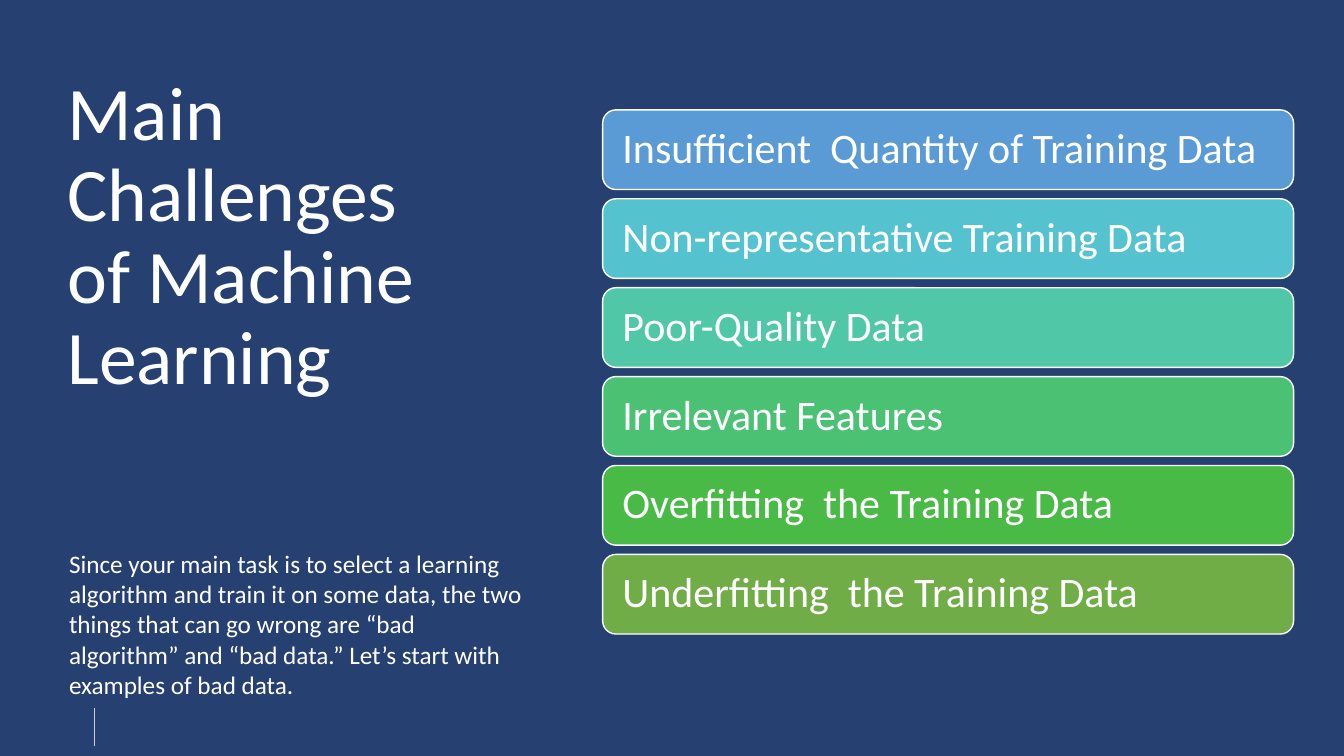
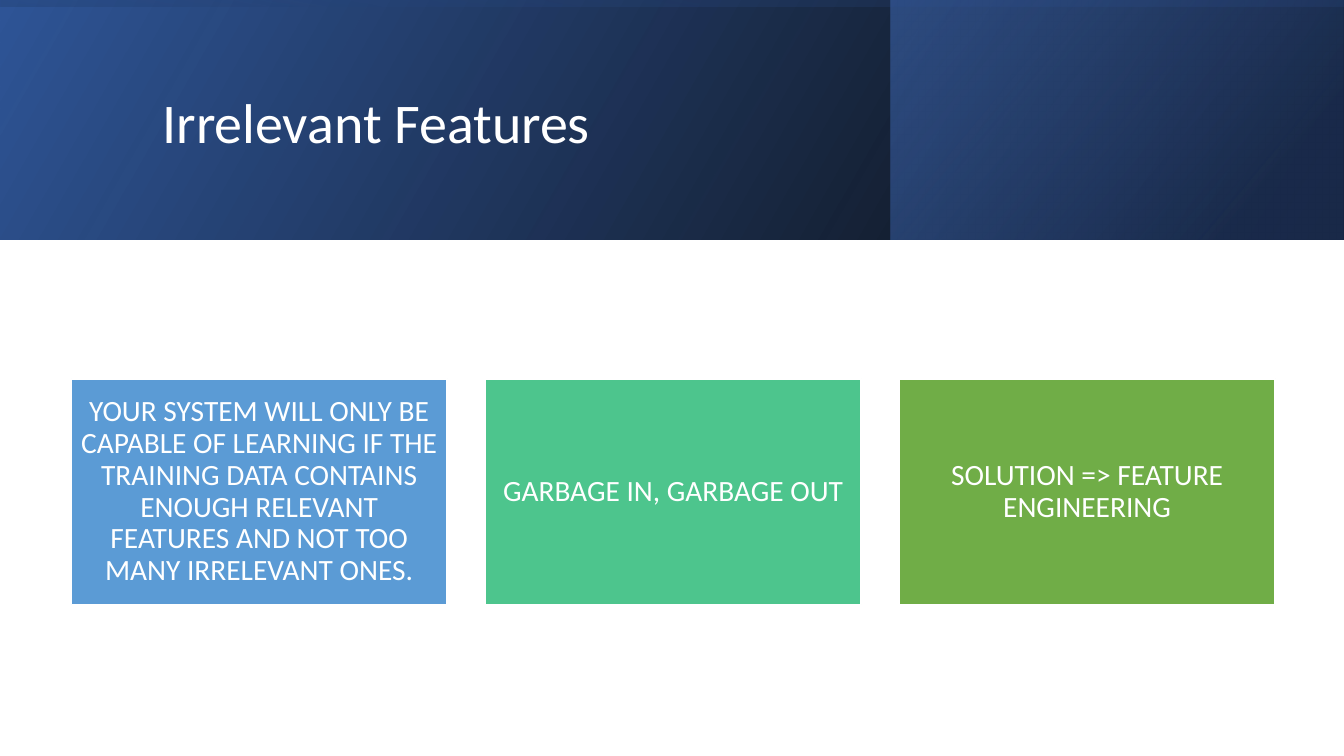
"""Build two slides on the challenges of machine learning."""
from dataclasses import dataclass

from lxml import etree
from pptx import Presentation
from pptx.dml.color import RGBColor
from pptx.enum.shapes import MSO_CONNECTOR, MSO_SHAPE
from pptx.enum.text import MSO_ANCHOR, PP_ALIGN
from pptx.oxml.ns import qn
from pptx.slide import Slide
from pptx.text.text import TextFrame
from pptx.util import Pt

RECT, ROUNDED = MSO_SHAPE.RECTANGLE, MSO_SHAPE.ROUNDED_RECTANGLE
STRAIGHT = MSO_CONNECTOR.STRAIGHT
TOP, MIDDLE = MSO_ANCHOR.TOP, MSO_ANCHOR.MIDDLE
LEFT, CENTER = PP_ALIGN.LEFT, PP_ALIGN.CENTER

FONT = "Calibri"
COLORS = {
    "white": "FFFFFF", "black": "000000", "navy": "254071", "rule": "D0CECE",
    "royal": "2F5597", "deep": "203864", "bright": "4472C4",
    "blue": "5B9BD5", "cyan": "55C3CF", "teal": "50C8A7", "mint": "4DC58D",
    "emerald": "4BC174", "green": "4ABA46", "olive": "70AD47",
}


@dataclass(frozen=True)
class Box:
    """Place and size in points."""
    x: float
    y: float
    w: float
    h: float


@dataclass(frozen=True)
class Tile:
    """Text and colour name of one filled tile."""
    text: str
    color: str


@dataclass(frozen=True)
class TileStyle:
    """Look shared by a set of tiles."""
    shape: MSO_SHAPE
    size: float
    align: PP_ALIGN
    inset: float


@dataclass(frozen=True)
class Stop:
    """Gradient stop: position and opacity in percent."""
    position: float
    color: str
    opacity: int = 100


@dataclass(frozen=True)
class Band:
    """Mirrored gradient rectangle."""
    box: Box
    stops: tuple[Stop, Stop]
    angle: float
    rotation: float = 0


CHALLENGE_STYLE = TileStyle(ROUNDED, 30, LEFT, 11.4)
CHALLENGES = [
    Tile("Insufficient  Quantity of Training Data", "blue"),
    Tile("Non-representative Training Data", "cyan"),
    Tile("Poor-Quality Data", "teal"),
    Tile("Irrelevant Features", "emerald"),
    Tile("Overfitting  the Training Data", "green"),
    Tile("Underfitting  the Training Data", "olive"),
]
FEATURE_STYLE = TileStyle(RECT, 21, CENTER, 6.6)
FEATURES = [
    Tile("YOUR SYSTEM WILL ONLY BE CAPABLE OF LEARNING IF THE TRAINING DATA "
         "CONTAINS ENOUGH RELEVANT FEATURES AND NOT TOO MANY IRRELEVANT ONES.", "blue"),
    Tile("GARBAGE IN, GARBAGE OUT", "mint"),
    Tile("SOLUTION => FEATURE ENGINEERING", "olive"),
]
BANDS = [
    Band(Box(0, 0, 960, 171), (Stop(0, "black", 96), Stop(100, "royal")), 30),
    Band(Box(636.5, 0, 323, 171), (Stop(19, "deep", 68), Stop(100, "bright", 48)), 40),
    Band(Box(394.5, -394.5, 171, 960), (Stop(23, "royal", 16), Stop(99, "black", 45)), 10, 270),
]
INTRO = ("Since your main task is to select a learning algorithm and train it on some data, "
         "the two things that can go wrong are “bad algorithm” and “bad data.” "
         "Let’s start with examples of bad data.")


def rgb(name: str) -> RGBColor:
    """Look up a named colour."""
    return RGBColor.from_string(COLORS[name])


def points(box: Box) -> tuple[Pt, Pt, Pt, Pt]:
    """Turn a box into lengths."""
    return Pt(box.x), Pt(box.y), Pt(box.w), Pt(box.h)


def write(tf: TextFrame, text: str, size: float, anchor: MSO_ANCHOR = MIDDLE,
          align: PP_ALIGN = LEFT, spacing: float = 0.9) -> None:
    """Fill a text frame with one white paragraph."""
    tf.word_wrap = True
    tf.vertical_anchor = anchor
    p = tf.paragraphs[0]
    p.text = text
    p.alignment = align
    p.line_spacing = spacing
    p.font.name = FONT
    p.font.size = Pt(size)
    p.font.color.rgb = rgb("white")


def add_slide(prs: Presentation, background: str) -> Slide:
    """Add a blank slide with a plain background."""
    s = prs.slides.add_slide(prs.slide_layouts[6])
    s.background.fill.solid()
    s.background.fill.fore_color.rgb = rgb(background)
    return s


def add_title(s: Slide, box: Box, text: str, size: float) -> None:
    """Add the slide title."""
    write(s.shapes.add_textbox(*points(box)).text_frame, text, size)


def add_tiles(s: Slide, tiles: list[Tile], first: Box, dx: float, dy: float,
              style: TileStyle) -> None:
    """Draw tiles at equal steps from the first box."""
    for i, tile in enumerate(tiles):
        box = Box(first.x + i * dx, first.y + i * dy, first.w, first.h)
        sp = s.shapes.add_shape(style.shape, *points(box))
        sp.shadow.inherit = False
        sp.fill.solid()
        sp.fill.fore_color.rgb = rgb(tile.color)
        sp.line.color.rgb = rgb("white")
        sp.line.width = Pt(1)
        tf = sp.text_frame
        tf.margin_left = tf.margin_right = Pt(style.inset)
        tf.margin_top = tf.margin_bottom = Pt(style.inset)
        write(tf, tile.text, style.size, align=style.align)


def add_band(s: Slide, band: Band) -> None:
    """Draw a mirrored gradient band."""
    sp = s.shapes.add_shape(RECT, *points(band.box))
    sp.shadow.inherit = False
    sp.line.fill.background()
    sp.rotation = band.rotation
    spPr = sp._element.spPr
    spPr.find(qn("a:xfrm")).set("flipH", "1")
    sp.fill.gradient()
    sp.fill.gradient_angle = band.angle
    for target, stop in zip(sp.fill.gradient_stops, band.stops):
        target.position = stop.position / 100
        target.color.rgb = rgb(stop.color)
    for color, stop in zip(spPr.iter(qn("a:srgbClr")), band.stops):
        etree.SubElement(color, qn("a:alpha"), val=str(stop.opacity * 1000))


def add_rule(s: Slide, x: float, top: float, bottom: float) -> None:
    """Draw a thin vertical rule."""
    rule = s.shapes.add_connector(STRAIGHT, Pt(x), Pt(top), Pt(x), Pt(bottom))
    rule.line.color.rgb = rgb("rule")
    rule.line.width = Pt(0.5)
    etree.SubElement(rule._element.spPr, qn("a:effectLst"))


def challenges_slide(prs: Presentation) -> None:
    """Build the overview of challenges."""
    s = add_slide(prs, "navy")
    add_rule(s, 67.7, 505.4, 532.8)
    add_title(s, Box(41, 49, 299.5, 242), "Main Challenges of Machine Learning", 54)
    add_tiles(s, CHALLENGES, Box(430.5, 78.5, 493.5, 56.9), 0, 63.5, CHALLENGE_STYLE)
    intro = s.shapes.add_textbox(*points(Box(42.2, 388, 339, 116.6)))
    write(intro.text_frame, INTRO, 18, anchor=TOP, spacing=1)


def features_slide(prs: Presentation) -> None:
    """Build the slide on irrelevant features."""
    s = add_slide(prs, "white")
    for band in BANDS:
        add_band(s, band)
    add_title(s, Box(109, 27.4, 765, 124), "Irrelevant Features", 40)
    add_tiles(s, FEATURES, Box(50.9, 270.6, 268.5, 161.1), 295.7, 0, FEATURE_STYLE)


def main() -> None:
    """Build and save the presentation."""
    prs = Presentation()
    prs.slide_width, prs.slide_height = Pt(960), Pt(540)
    challenges_slide(prs)
    features_slide(prs)
    prs.save("out.pptx")


if __name__ == "__main__":
    main()
